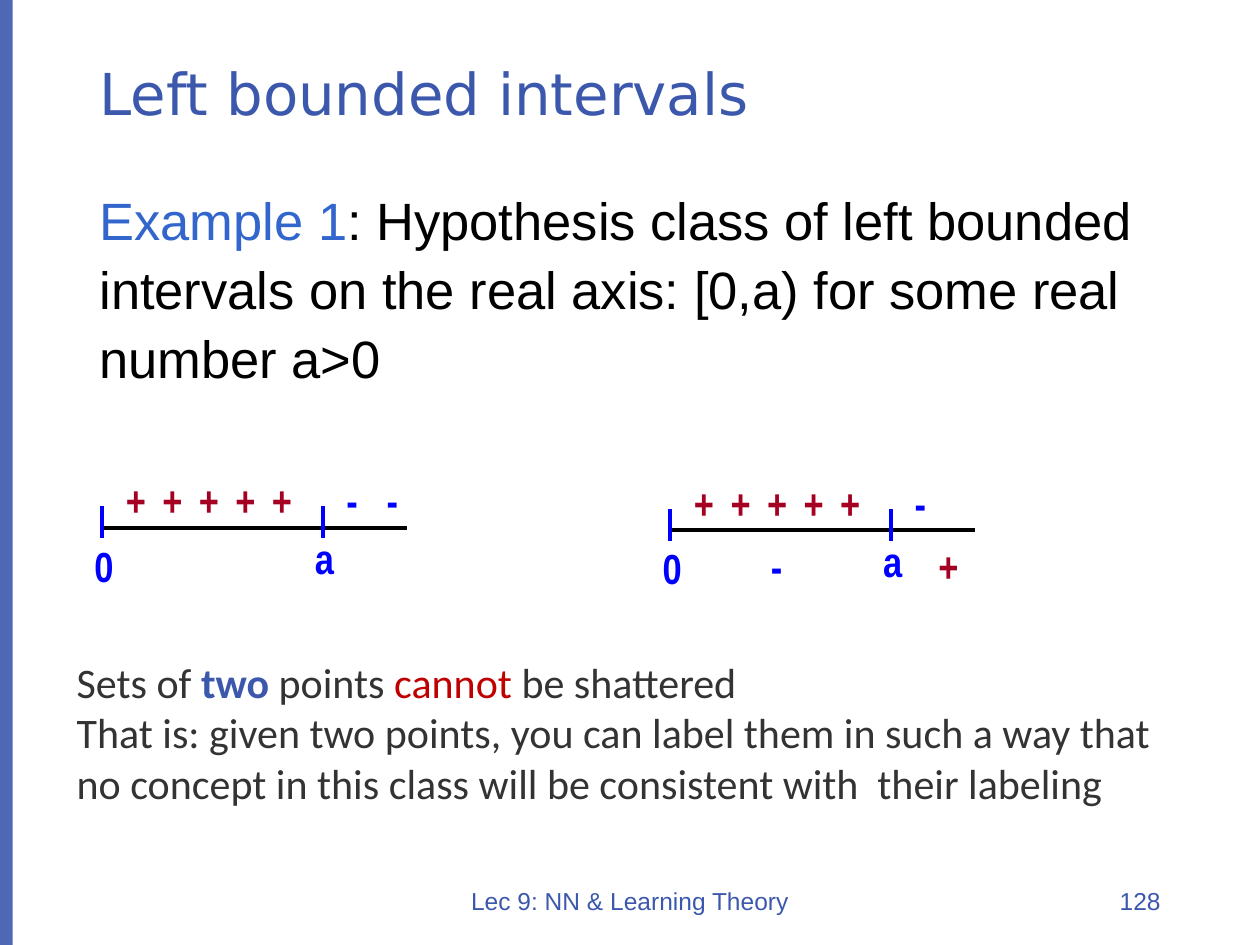
from dataclasses import dataclass

from lxml import etree
from pptx import Presentation
from pptx.dml.color import RGBColor
from pptx.enum.shapes import MSO_CONNECTOR, MSO_SHAPE
from pptx.enum.text import MSO_ANCHOR, MSO_AUTO_SIZE, PP_ALIGN
from pptx.oxml.ns import qn
from pptx.util import Inches, Pt

RECT = MSO_SHAPE.RECTANGLE
LINE = MSO_CONNECTOR.STRAIGHT
TOP, MID = MSO_ANCHOR.TOP, MSO_ANCHOR.MIDDLE
LEFT, CENTER, RIGHT = PP_ALIGN.LEFT, PP_ALIGN.CENTER, PP_ALIGN.RIGHT
GROW, FIXED = MSO_AUTO_SIZE.SHAPE_TO_FIT_TEXT, MSO_AUTO_SIZE.NONE

COLORS = {
    "theme": "3C58AD",
    "link": "3366CC",
    "black": "000000",
    "blue": "0000FF",
    "plus": "A50021",
    "gray": "333333",
    "red": "C00000",
}


@dataclass
class Run:
    text: str
    color: str
    bold: bool = False


@dataclass
class Mark:
    text: str
    dx: float
    dy: float


@dataclass
class Axis:
    x: float
    y: float
    marks: list[Mark]


SPAN = 2.42       # length of an axis
BOUND = 1.75      # distance from 0 to a
ABOVE, BELOW = -0.47, 0.03
WIDTHS = {"+": 0.36, "-": 0.29, "0": 0.35, "a": 0.35}

# Marks that both axes share
SHARED = [Mark("0", -0.16, 0.05), Mark("a", 1.59, -0.01)]
SHARED += [Mark("+", 0.09 + 0.29 * i, ABOVE) for i in range(5)]
SHARED += [Mark("-", 1.84, ABOVE)]

AXES = [
    Axis(0.81, 4.19, [Mark("-", 2.16, ABOVE)]),
    Axis(5.32, 4.21, [Mark("-", 0.7, BELOW), Mark("+", 2.03, BELOW)]),
]


def rgb(name: str) -> RGBColor:
    return RGBColor.from_string(COLORS[name])


def write(shape, paras: list[list[Run]], *, size: float, font: str,
          align=LEFT, anchor=TOP, wrap: bool = True, fit=FIXED,
          space: float | None = None) -> None:
    frame = shape.text_frame
    frame.word_wrap = wrap
    frame.auto_size = fit
    frame.vertical_anchor = anchor
    for i, runs in enumerate(paras):
        para = frame.add_paragraph() if i else frame.paragraphs[0]
        para.alignment = align
        if space:
            para.line_spacing = space
        for item in runs:
            run = para.add_run()
            run.text = item.text
            run.font.size = Pt(size)
            run.font.name = font
            run.font.bold = item.bold
            run.font.color.rgb = rgb(item.color)


def add_box(slide, x: float, y: float, w: float, h: float):
    return slide.shapes.add_textbox(Inches(x), Inches(y), Inches(w), Inches(h))


def add_line(slide, x1: float, y1: float, x2: float, y2: float,
             color: str) -> None:
    line = slide.shapes.add_connector(
        LINE, Inches(x1), Inches(y1), Inches(x2), Inches(y2))
    line.line.color.rgb = rgb(color)
    line.line.width = Pt(2.25)
    etree.SubElement(line._element.spPr, qn("a:effectLst"))


def draw_axis(slide, axis: Axis) -> None:
    add_line(slide, axis.x, axis.y, axis.x + SPAN, axis.y, "black")
    for dx in (0, BOUND):
        x = axis.x + dx
        add_line(slide, x, axis.y - 0.17, x, axis.y + 0.08, "blue")
    for mark in SHARED + axis.marks:
        box = add_box(slide, axis.x + mark.dx, axis.y + mark.dy,
                      WIDTHS[mark.text], 0.5)
        color = "plus" if mark.text == "+" else "blue"
        write(box, [[Run(mark.text, color, True)]], size=24,
              font="Arial Narrow", wrap=False, fit=GROW)


def main() -> None:
    deck = Presentation()
    deck.slide_width, deck.slide_height = Inches(10), Inches(7.5)
    slide = deck.slides.add_slide(deck.slide_layouts[5])

    # Side bar
    bar = slide.shapes.add_shape(RECT, 0, 0, Inches(0.1), Inches(7.5))
    bar.shadow.inherit = False
    bar.line.fill.background()
    bar.fill.solid()
    bar.fill.fore_color.rgb = rgb("theme")
    tint = bar._element.spPr.find(".//" + qn("a:srgbClr"))
    etree.SubElement(tint, qn("a:alpha"), val="90000")

    # Title
    title = slide.shapes.title
    title.left, title.top = Inches(0.69), Inches(0.4)
    title.width, title.height = Inches(8.62), Inches(0.74)
    write(title, [[Run("Left bounded intervals", "theme")]], size=33,
          font="DejaVu Sans", anchor=MID, space=0.9)

    # Example
    write(add_box(slide, 0.69, 1.39, 8.62, 5.37), [[
        Run("Example 1", "link"),
        Run(": Hypothesis class of left bounded intervals on the real axis: "
            "[0,a) for some real number a>0", "black"),
    ]], size=30, font="Arial", space=1.1)

    # Labelled axes
    for axis in AXES:
        draw_axis(slide, axis)

    # Conclusion
    write(add_box(slide, 0.51, 5.16, 9.12, 1.31), [
        [Run("Sets of ", "gray"), Run("two ", "theme", True),
         Run("points ", "gray"), Run("cannot ", "red"),
         Run("be shattered", "gray")],
        [Run("That is: given two points, you can label them in such a way "
             "that no concept in this class will be consistent with  their "
             "labeling", "gray")],
    ], size=24, font="Calibri", fit=GROW)

    # Footer and page number
    write(add_box(slide, 3.31, 6.95, 3.38, 0.4),
          [[Run("Lec 9: NN & Learning Theory", "theme")]],
          size=14, font="Arial", align=CENTER, anchor=MID)
    write(add_box(slide, 7.06, 6.95, 2.25, 0.4), [[Run("128", "theme")]],
          size=14, font="Arial", align=RIGHT, anchor=MID)

    deck.save("out.pptx")


if __name__ == "__main__":
    main()
